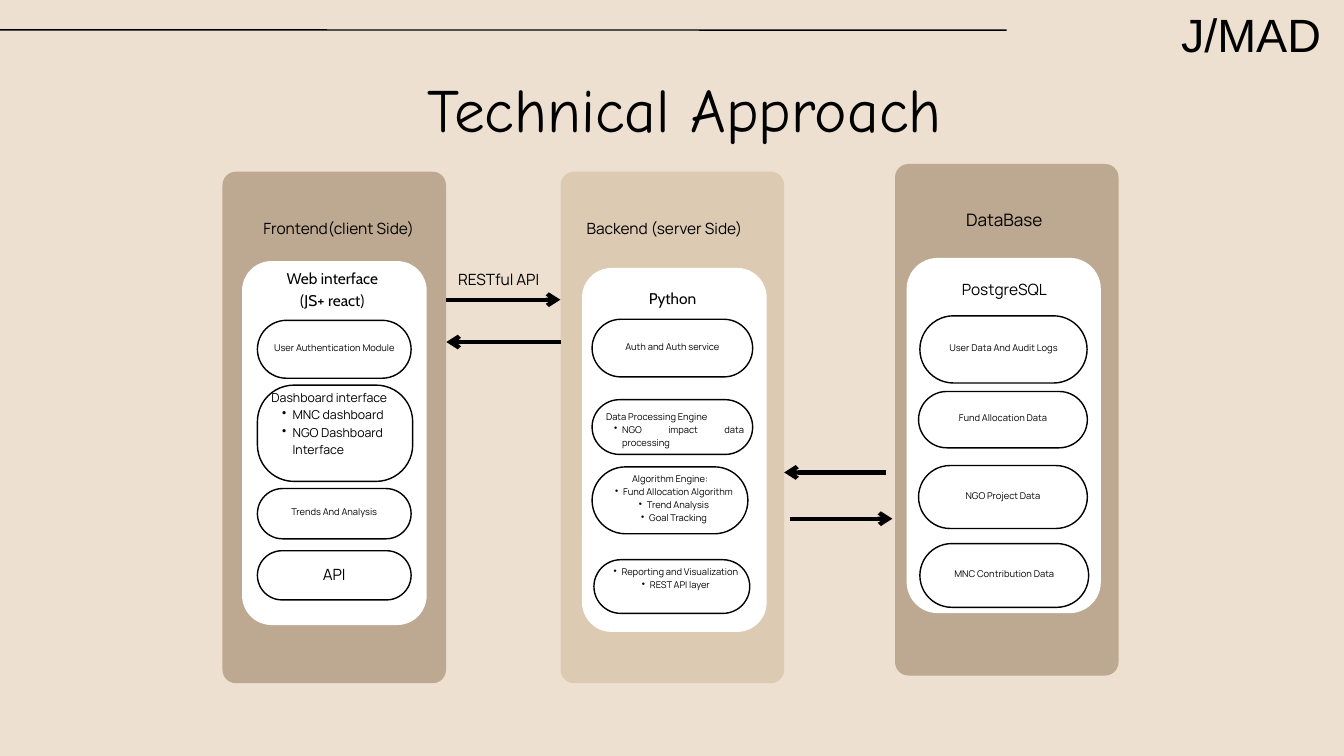
from pptx import Presentation
from pptx.dml.color import RGBColor
from pptx.enum.shapes import MSO_CONNECTOR, MSO_SHAPE
from pptx.enum.text import MSO_ANCHOR, MSO_AUTO_SIZE, PP_ALIGN
from pptx.oxml.ns import qn
from pptx.util import Cm, Pt
from lxml.etree import SubElement

INK, PAPER, SAND = "000000", "FFFFFF", "EDE0D1"
LEFT, CENTER, RIGHT, JUSTIFY = (
    PP_ALIGN.LEFT, PP_ALIGN.CENTER, PP_ALIGN.RIGHT, PP_ALIGN.JUSTIFY)


def color(hex_code):
    """Turn a hex string into a colour."""
    return RGBColor.from_string(hex_code)


class ArchitectureSlide:
    """Holds the style and the slide, and draws each kind of element."""

    def __init__(self, deck):
        """Add a title-only slide with a sand background."""
        self.slide = deck.slides.add_slide(deck.slide_layouts[5])
        self.font = "Manrope"
        self.line_factor = 1.4
        fill = self.slide.background.fill
        fill.solid()
        fill.fore_color.rgb = color(SAND)

    def set_lines(self, frame, lines, size, align=CENTER, font=None, bottom=0):
        """Fill a text frame; lines that begin with a bullet become list items."""
        frame.word_wrap = True
        frame.auto_size = MSO_AUTO_SIZE.NONE
        frame.margin_left = frame.margin_right = frame.margin_top = 0
        frame.margin_bottom = Cm(bottom)
        frame.text = "\n".join(line.lstrip("•") for line in lines)
        for line, paragraph in zip(lines, frame.paragraphs):
            paragraph.alignment = align
            paragraph.line_spacing = Pt(round(size * self.line_factor, 1))
            if line.startswith("•"):
                self.bullet(paragraph, size)
            for run in paragraph.runs:
                run.font.size = Pt(size)
                run.font.name = font or self.font
                run.font.color.rgb = color(INK)

    def bullet(self, paragraph, size):
        """Give a paragraph a hanging bullet scaled to its text size."""
        paragraph.level = 1
        hang = Pt(size * 0.86)
        properties = paragraph._p.get_or_add_pPr()
        properties.set("marL", str(2 * hang))
        properties.set("indent", str(-hang))
        SubElement(properties, qn("a:buChar"), char="•")

    def title(self, text, box, size, font):
        """Move and format the title placeholder."""
        heading = self.slide.shapes.title
        heading.left, heading.top, heading.width, heading.height = map(Cm, box)
        heading.text_frame.vertical_anchor = MSO_ANCHOR.TOP
        self.set_lines(heading.text_frame, [text], size, RIGHT, font)

    def label(self, lines, box, size=16.6, align=CENTER, font=None):
        """Add free-standing text."""
        textbox = self.slide.shapes.add_textbox(*map(Cm, box))
        self.set_lines(textbox.text_frame, lines, size, align, font)

    def rounded(self, box, fill, corner, opacity=100):
        """Add a rounded rectangle without an outline."""
        shape = self.slide.shapes.add_shape(
            MSO_SHAPE.ROUNDED_RECTANGLE, *map(Cm, box))
        shape.adjustments[0] = corner
        shape.shadow.inherit = False
        shape.fill.solid()
        shape.fill.fore_color.rgb = color(fill)
        shape.line.fill.background()
        if opacity < 100:
            tint = shape._element.spPr.find(".//" + qn("a:srgbClr"))
            SubElement(tint, qn("a:alpha"), val=str(opacity * 1000))
        return shape

    def pill(self, lines, box, size=10, corner=0.5, bottom=0.2):
        """Add an outlined module with centred text."""
        module = self.rounded(box, PAPER, corner)
        module.line.color.rgb = color(INK)
        module.line.width = Pt(1.5)
        if lines:
            module.text_frame.vertical_anchor = MSO_ANCHOR.MIDDLE
            self.set_lines(module.text_frame, lines, size, bottom=bottom)

    def rule(self, start, end, width, arrow=False):
        """Add a straight line, with an arrowhead at its end if wanted."""
        connector = self.slide.shapes.add_connector(
            MSO_CONNECTOR.STRAIGHT, *map(Cm, start + end))
        connector.line.color.rgb = color(INK)
        connector.line.width = Pt(width)
        properties = connector._element.spPr
        if arrow:
            SubElement(properties.find(qn("a:ln")), qn("a:tailEnd"), type="arrow")
        SubElement(properties, qn("a:effectLst"))


PANELS = [
    (8.41, 6.49, "977D5D", (9.15, 9.87, 6.98, 13.76)),
    (21.19, 6.49, "D1B99C", (22, 10.13, 6.98, 13.76)),
    (33.83, 6.2, "977D5D", (34.27, 9.75, 7.34, 13.43)),
]
MODULES = [
    (["User Authentication Module"], (9.73, 12.11, 5.81, 2.19)),
    (["Trends And Analysis"], (9.73, 18.47, 5.81, 1.9)),
    (["Auth and Auth service"], (22.38, 12.07, 6.07, 2.18)),
    ([], (22.38, 15.11, 6.07, 2.07)),
    (["Algorithm Engine:", "•Fund Allocation Algorithm", "•Trend Analysis",
      "•Goal Tracking"], (22.38, 17.65, 5.89, 2.53)),
    (["User Data And Audit Logs"], (34.77, 11.94, 6.32, 2.54)),
    (["Fund Allocation Data"], (34.72, 14.8, 6.38, 2.13)),
    (["NGO Project Data"], (34.72, 17.6, 6.38, 2.38)),
    (["MNC Contribution Data"], (34.77, 20.55, 6.38, 2.41)),
]
LABELS = [
    (["Frontend(client Side)"], (9.6, 8.15, 6.4, 0.82)),
    (["Backend (server Side)"], (21.77, 8.15, 6.68, 0.82)),
    (["RESTful API"], (15.65, 10.08, 6.4, 0.82)),
    (["PostgreSQL"], (36.32, 10.46, 3.28, 0.82)),
]
ARROWS = [
    ((16.84, 11.33), (21.18, 11.33)),
    ((21.2, 12.93), (16.87, 12.93)),
    ((33.5, 17.86), (29.64, 17.86)),
    ((29.87, 19.61), (33.73, 19.61)),
]


def main():
    """Build and save the slide."""
    deck = Presentation()
    deck.slide_width, deck.slide_height = Cm(50.8), Cm(28.58)
    page = ArchitectureSlide(deck)
    page.title("Technical Approach", (15.21, 2.21, 20.37, 3.1), 65.8, "Comic Neue")
    page.label(["J/MAD"], (32.87, -0.13, 17.07, 2.36), 50, RIGHT, "Arial")
    page.rule((0, 1.13), (38.05, 1.14), 1.5)

    for left, top, fill, card in PANELS:
        page.rounded((left, top, 8.45, 19.34), fill, 0.06, 55)
        page.rounded(card, PAPER, 0.16)
    for lines, box in MODULES:
        page.pill(lines, box)
    page.pill([], (9.73, 14.56, 5.87, 3.64), corner=0.38)
    page.pill(["API"], (9.73, 20.82, 5.81, 1.86), size=16.6)
    page.pill(["•Reporting and Visualization", "•REST API layer"],
              (22.45, 21.16, 5.89, 2.03), bottom=0.69)

    for lines, box in LABELS:
        page.label(lines, box)
    page.label(["DataBase"], (33.53, 7.77, 8.86, 0.9), 18.4)
    page.label(["Web interface", "(JS+ react)"], (8.99, 10.06, 7.14, 1.6), font="Cabin")
    page.label(["Python"], (22.56, 10.82, 5.72, 0.8), font="Cabin")
    page.label(["Dashboard interface", "•MNC dashboard", "•NGO Dashboard Interface"],
               (10.26, 14.66, 5.13, 3.5), 13.2, LEFT)
    page.label(["Data Processing Engine", "•NGO impact data processing"],
               (22.91, 15.47, 5.21, 1.7), 10, JUSTIFY)
    for start, end in ARROWS:
        page.rule(start, end, 4.5, arrow=True)
    deck.save("out.pptx")


if __name__ == "__main__":
    main()
